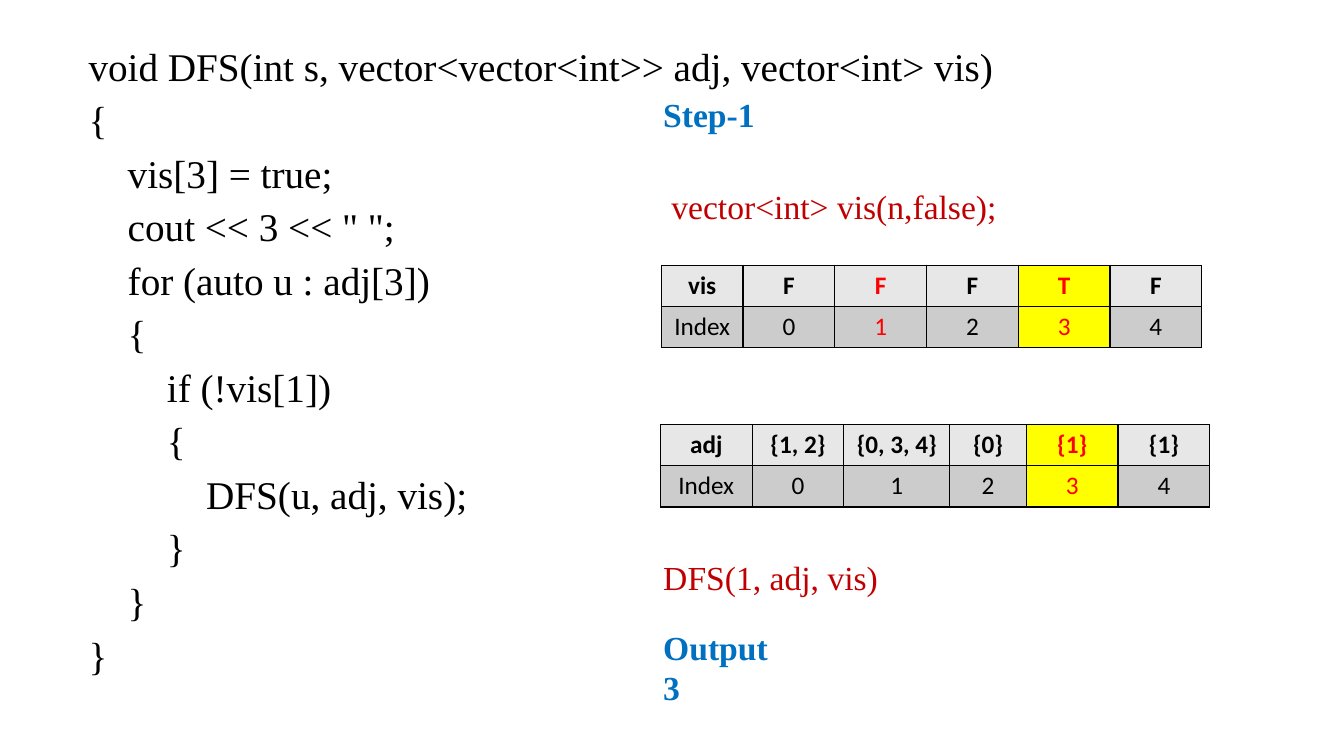
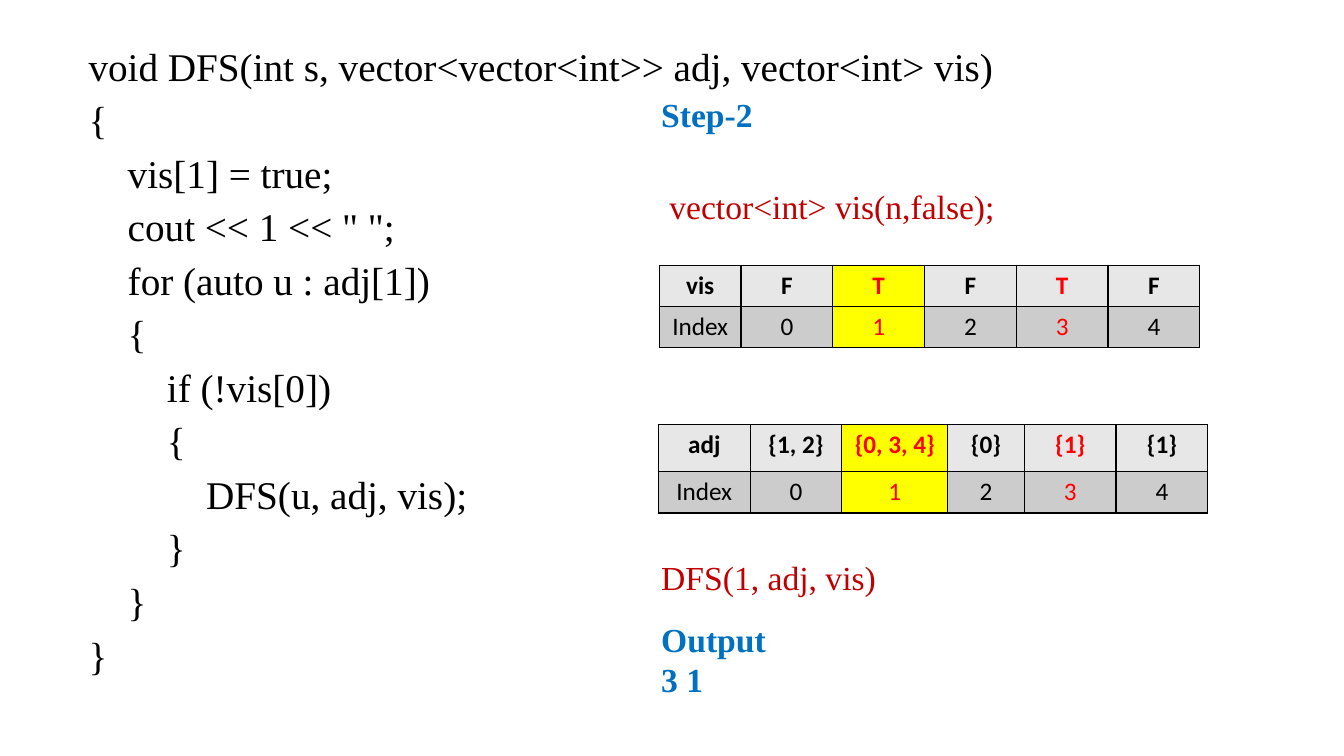
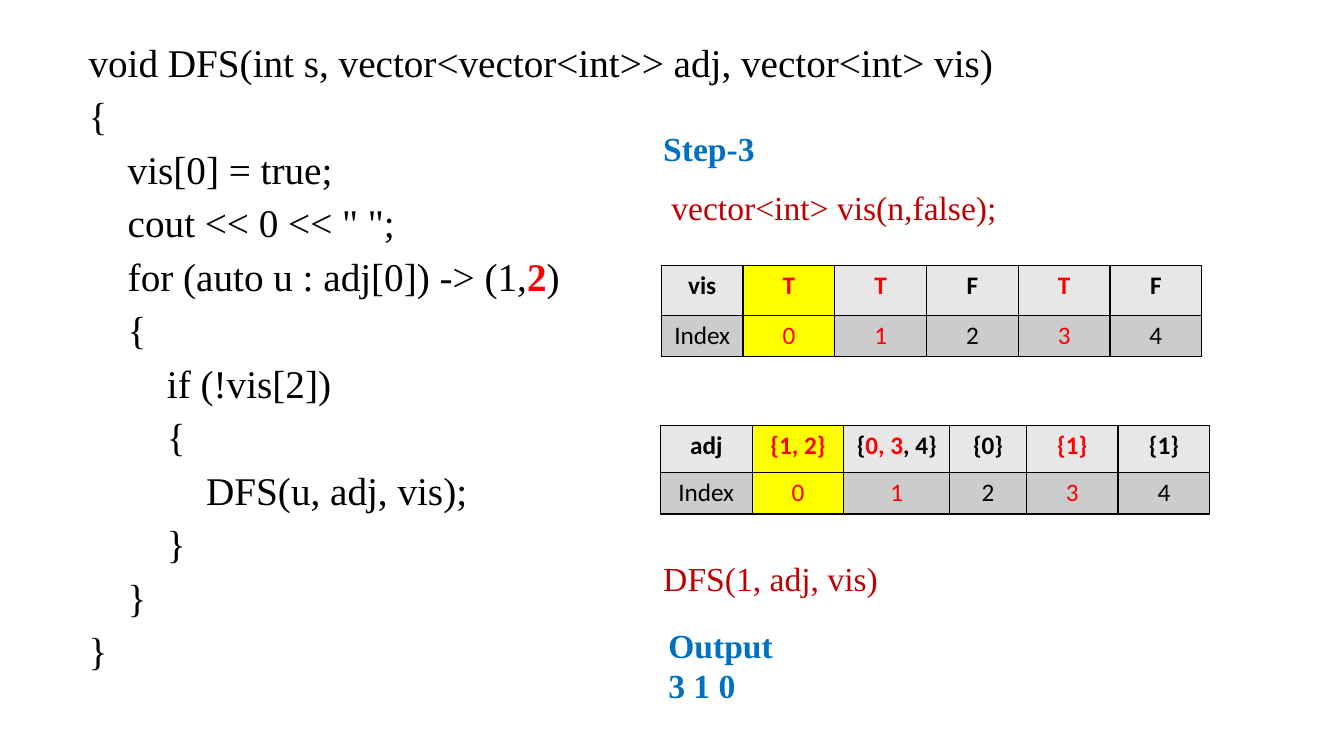
import pptx
import pptx.util
import pptx.dml.color
import pptx.enum.text
import pptx.oxml
import pptx.oxml.ns

Inches = pptx.util.Inches
Pt = pptx.util.Pt
RGBColor = pptx.dml.color.RGBColor

BLACK = RGBColor(0x00, 0x00, 0x00)
RED = RGBColor(0xFF, 0x00, 0x00)
DARK_RED = RGBColor(0xC0, 0x00, 0x00)
BLUE = RGBColor(0x00, 0x70, 0xC0)
YELLOW = RGBColor(0xFF, 0xFF, 0x00)
HEAD_GRAY = RGBColor(0xE7, 0xE7, 0xE7)
INDEX_GRAY = RGBColor(0xCC, 0xCC, 0xCC)

SERIF = "Times New Roman"
SANS = "Calibri"
INDENT = Pt(28)
ROW_H = 0.41
VIS_COLS = [0.81] + [0.91] * 5
ADJ_COLS = [0.91, 0.91, 1.05, 0.76, 0.91, 0.91]
BORDER = (
    '<a:{} xmlns:a="http://schemas.openxmlformats.org/drawingml/2006/main" w="12700">'
    '<a:solidFill><a:srgbClr val="000000"/></a:solidFill></a:{}>'
)

STEPS = [
    {
        "node": 3, "next": 1, "neighbours": "", "output": "3",
        "x": 6.48, "code_y": 0.42, "step_y": 0.88, "shift": 0,
        "output_x": 6.48, "output_y": 6.17,
        "vis": ["F", "F", "F", "T", "F"], "vis_red": {1, 3}, "vis_h": 0.41,
        "adj": ["{1, 2}", "{0, 3, 4}", "{0}", "{1}", "{1}"], "adj_red": {3}, "adj_h": 0.41,
    },
    {
        "node": 1, "next": 0, "neighbours": "", "output": "3 1",
        "x": 6.46, "code_y": 0.42, "step_y": 0.88, "shift": 0,
        "output_x": 6.46, "output_y": 6.09,
        "vis": ["F", "T", "F", "T", "F"], "vis_red": {1, 3}, "vis_h": 0.41,
        "adj": ["{1, 2}", "{0, 3, 4}", "{0}", "{1}", "{1}"], "adj_red": {1, 3}, "adj_h": 0.47,
    },
    {
        "node": 0, "next": 2, "neighbours": " -> (1,|2|)", "output": "3 1 0",
        "x": 6.48, "code_y": 0.38, "step_y": 1.22, "shift": 0.01,
        "output_x": 6.53, "output_y": 6.15,
        "vis": ["T", "T", "F", "T", "F"], "vis_red": {0, 1, 3}, "vis_h": 0.5,
        "adj": ["{1, 2}", "{|0, 3|, 4}", "{0}", "{1}", "{1}"], "adj_red": {0, 1, 3}, "adj_h": 0.47,
    },
]


def add_runs(p, text, font, size, color, bold=False, bold_red=False):
    for i, part in enumerate(text.split("|")):
        if part:
            r = p.add_run()
            r.text = part
            r.font.name = font
            r.font.size = Pt(size)
            r.font.color.rgb = RED if i % 2 else color
            r.font.bold = bold or (bold_red and i % 2 == 1)


def add_text(s, x, y, w, h, lines, size, color, bold=False):
    tf = s.shapes.add_textbox(Inches(x), Inches(y), Inches(w), Inches(h)).text_frame
    tf.word_wrap = True
    for i, line in enumerate(lines):
        p = tf.add_paragraph() if i else tf.paragraphs[0]
        add_runs(p, line, SERIF, size, color, bold, True)
    return tf


prs = pptx.Presentation()
prs.slide_width = Inches(13.33)
prs.slide_height = Inches(7.5)

for number, step in enumerate(STEPS, 1):
    s = prs.slides.add_slide(prs.slide_layouts[6])
    node, x, shift = step["node"], step["x"], step["shift"]

    code = [
        (0, "void DFS(int s, vector<vector<int>> adj, vector<int> vis)"),
        (0, "{"),
        (1, f"vis[{node}] = true;"),
        (1, f'cout << {node} << " ";'),
        (1, f"for (auto u : adj[{node}]){step['neighbours']}"),
        (1, "{"),
        (2, f"if (!vis[{step['next']}])"),
        (2, "{"),
        (3, "DFS(u, adj, vis);"),
        (2, "}"),
        (1, "}"),
        (0, "}"),
    ]
    tf = add_text(s, 0.78, step["code_y"], 11.5, 6.66, [line for _, line in code], 28, BLACK)
    for p, (level, _) in zip(tf.paragraphs, code):
        p.line_spacing = 0.9
        p.space_before = Pt(8)
        p._p.get_or_add_pPr().set("marL", str(level * INDENT))

    for name, dx, y, widths in (("adj", 0.07, 4.21 + shift, ADJ_COLS), ("vis", 0.08, 2.63, VIS_COLS)):
        heights = [step[name + "_h"], ROW_H]
        rows = [[name] + step[name], ["Index"] + [str(i) for i in range(5)]]
        tbl = s.shapes.add_table(
            2, 6, Inches(x + dx), Inches(y), Inches(sum(widths)), Inches(sum(heights))
        ).table
        for col, width in zip(tbl.columns, widths):
            col.width = Inches(width)
        for i, row in enumerate(rows):
            tbl.rows[i].height = Inches(heights[i])
            for j, text in enumerate(row):
                cell = tbl.cell(i, j)
                tcPr = cell._tc.get_or_add_tcPr()
                for side in ("lnL", "lnR", "lnT", "lnB"):
                    tcPr.append(pptx.oxml.parse_xml(BORDER.format(side, side)))
                cell.fill.solid()
                cell.fill.fore_color.rgb = YELLOW if j - 1 == node else (HEAD_GRAY, INDEX_GRAY)[i]
                if j - 1 in step[name + "_red"] and "|" not in text:
                    text = f"|{text}|"
                p = cell.text_frame.paragraphs[0]
                p.alignment = pptx.enum.text.PP_ALIGN.CENTER
                add_runs(p, text, SANS, 18, BLACK, bold=i == 0)

    add_text(s, x + 0.08, 1.8 + shift, 4.11, 0.5, ["vector<int> vis(n,false);"], 24, DARK_RED)
    add_text(s, x, 5.48 + shift, 5.2, 0.5, ["DFS(1, adj, vis)"], 24, DARK_RED)
    add_text(s, x, step["step_y"], 5.2, 0.5, [f"Step-{number}"], 24, BLUE, True)
    add_text(s, step["output_x"], step["output_y"], 5.2, 0.91, ["Output", step["output"]], 24, BLUE, True)

prs.save("out.pptx")
